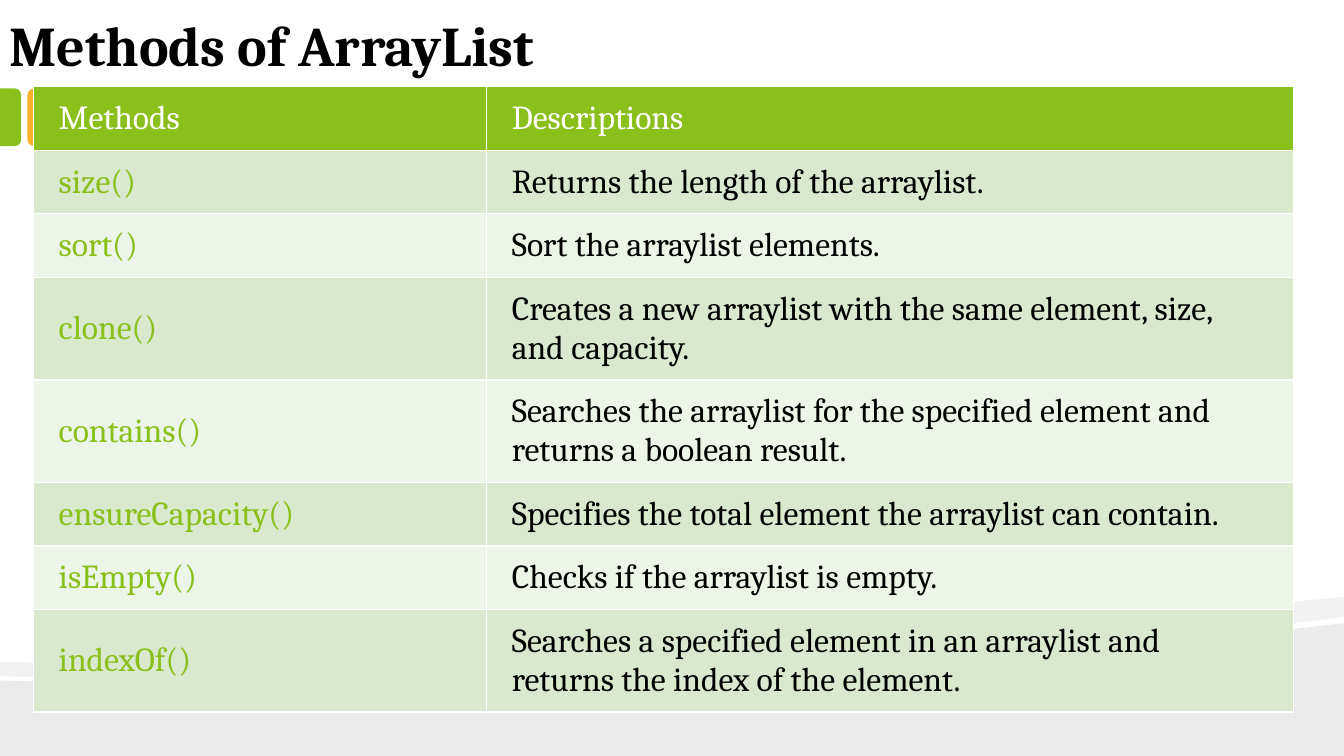
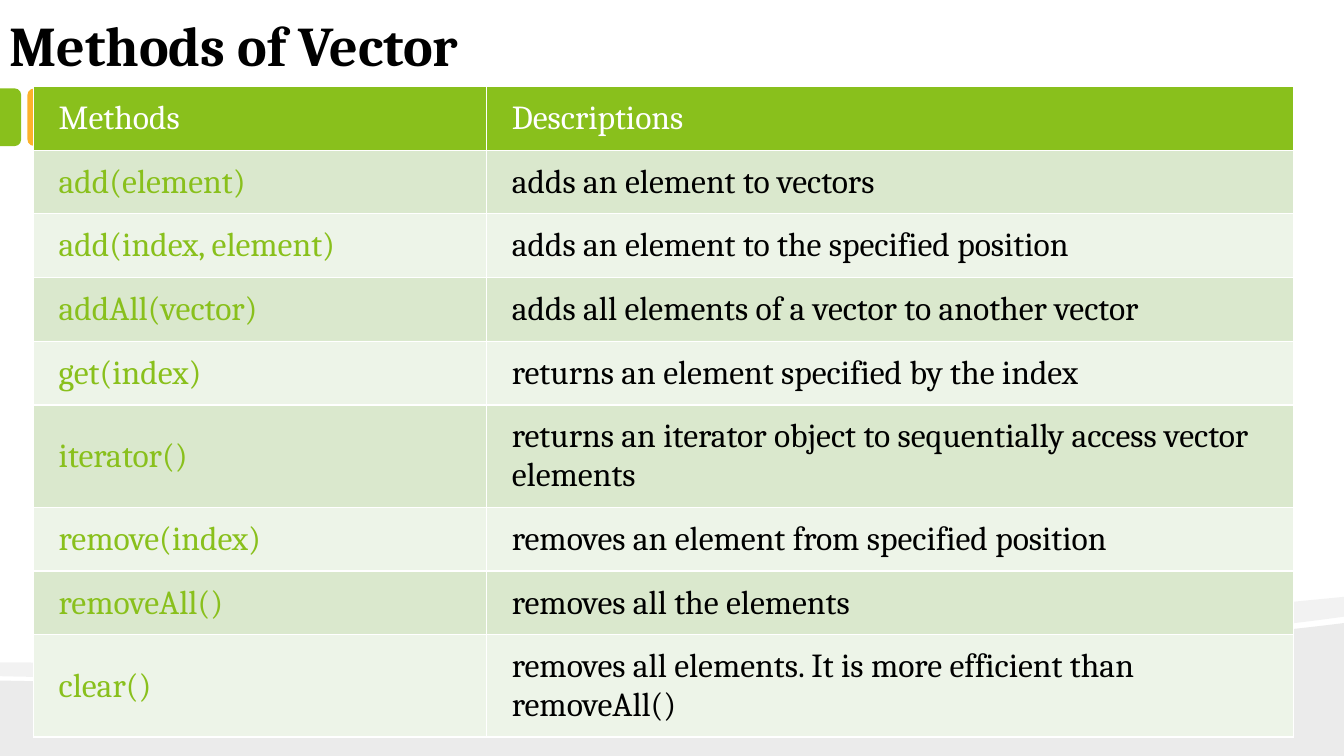
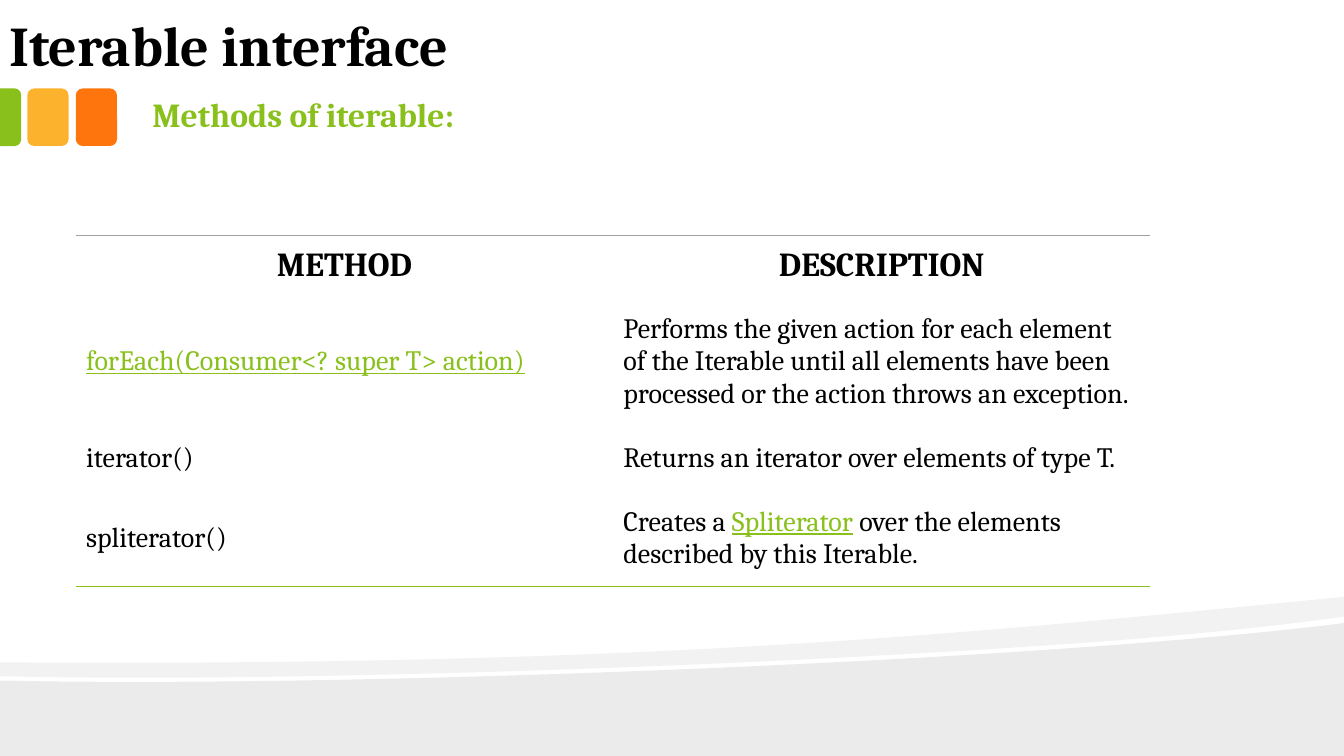
"""Build three slides on the methods of Java collection types."""
from lxml.etree import SubElement
from pptx import Presentation
from pptx.dml.color import RGBColor
from pptx.enum.shapes import MSO_SHAPE as Shape
from pptx.enum.text import MSO_ANCHOR as Anchor, MSO_AUTO_SIZE as AutoSize, PP_ALIGN as Align
from pptx.oxml.ns import qn
from pptx.util import Cm, Pt

GREEN, AMBER, ORANGE = "89C01C", "FCB22C", "FE750E"
BLACK, WHITE, GREY, OUTLINE = "000000", "FFFFFF", "A0A0A0", "92D050"
BANDS = "EDF4E8", "DAE8CD"
FONT = "Cambria"
PLAIN_TABLE = "{2D5ABB26-0587-4C30-8999-92F81FD0307C}"
rgb = RGBColor.from_string


def write(p, text, color, size, bold=False, underline=False):
    r = p.add_run()
    r.text = text
    fmt = {"name": FONT, "size": Pt(size), "bold": bold, "underline": underline}
    for key, value in fmt.items():
        setattr(r.font, key, value)
    r.font.color.rgb = rgb(color)


def add_line(parent, tag, color, width):
    ln = parent.makeelement(qn(tag), {"w": str(Pt(width))})
    SubElement(SubElement(ln, qn("a:solidFill")), qn("a:srgbClr"), val=color)
    parent.insert(0, ln)


prs = Presentation()
prs.slide_width, prs.slide_height = Cm(33.87), Cm(19.05)
layout = prs.slide_layouts[5]

TITLES = ["Methods of ArrayList", "Methods of Vector", "Iterable interface"]
slides = []
for title in TITLES:
    s = prs.slides.add_slide(layout)
    box = s.shapes.title
    box.left, box.top, box.width, box.height = Cm(-0.1), Cm(0), Cm(26.34), Cm(2.13)
    tf = box.text_frame
    fmt = {"margin_left": Cm(0.33), "margin_right": Cm(0.33), "margin_top": Cm(0.18),
           "margin_bottom": Cm(0.18), "vertical_anchor": Anchor.BOTTOM,
           "word_wrap": True, "auto_size": AutoSize.NONE}
    for key, value in fmt.items():
        setattr(tf, key, value)
    p = tf.paragraphs[0]
    p.alignment = Align.LEFT
    write(p, title, BLACK, 40, bold=True)
    slides.append(s)

# Each wave: start, opacity in percent, then lines (1 point) and curves (3 points)
WAVES = [
    ((33.87, 15.7), 8, [
        [(33.87, 19.05)], [(0, 19.05)], [(0, 17.15)],
        [(8.94, 17.35), (26.47, 16.64), (33.87, 15.7)]]),
    ((33.87, 15.04), 5, [
        [(33.87, 15.54)],
        [(31.88, 15.82), (29.18, 16.08), (26.14, 16.28)],
        [(17.73, 16.84), (6.55, 17.2), (0, 17.04)],
        [(0, 16.69)],
        [(16.56, 16.81), (24.66, 15.93), (33.87, 15.04)]]),
]
TABS = [
    (Shape.ROUNDED_RECTANGLE, 1.91, 2.23, 1.04, 1.45, 0, ORANGE),
    (Shape.ROUNDED_RECTANGLE, 0.69, 2.23, 1.04, 1.45, 0, AMBER),
    (Shape.ROUND_2_SAME_RECTANGLE, -0.46, 2.69, 1.45, 0.53, 90, GREEN),
]
shapes = slides[0].shapes
decor = []
for (x, y), opacity, segments in WAVES:
    builder = shapes.build_freeform(Cm(x), Cm(y))
    builder.add_line_segments([(Cm(x), Cm(y)) for seg in segments for x, y in seg], close=True)
    sp = builder.convert_to_shape()
    nodes = iter(list(sp.element.iter(qn("a:lnTo"))))
    for seg in segments:
        first, *rest = [next(nodes) for _ in seg]
        if rest:
            first.tag = qn("a:cubicBezTo")
            for node in rest:
                first.append(node[0])
                node.getparent().remove(node)
    decor.append((sp, BLACK, opacity))
for kind, x, y, w, h, angle, color in TABS:
    sp = shapes.add_shape(kind, Cm(x), Cm(y), Cm(w), Cm(h))
    sp.rotation = angle
    if angle:
        sp.adjustments[0] = 0.29
    decor.append((sp, color, 100))

for i, (sp, color, opacity) in enumerate(decor):
    sp.shadow.inherit = False
    sp.fill.solid()
    sp.fill.fore_color.rgb = rgb(color)
    sp.line.fill.background()
    if opacity < 100:
        fill = next(sp.element.iter(qn("a:srgbClr")))
        SubElement(fill, qn("a:alpha"), val=str(opacity * 1000))
    layout.shapes.element.insert(2 + i, sp.element)

ARRAYLIST = [
    ("size()", "Returns the length of the arraylist."),
    ("sort()", "Sort the arraylist elements."),
    ("clone()", "Creates a new arraylist with the same element, size, and capacity."),
    ("contains()", "Searches the arraylist for the specified element and returns a boolean result."),
    ("ensureCapacity()", "Specifies the total element the arraylist can contain."),
    ("isEmpty()", "Checks if the arraylist is empty."),
    ("indexOf()", "Searches a specified element in an arraylist and returns the index of the element."),
]
VECTOR = [
    ("add(element)", "adds an element to vectors"),
    ("add(index, element)", "adds an element to the specified position"),
    ("addAll(vector)", "adds all elements of a vector to another vector"),
    ("get(index)", "returns an element specified by the index"),
    ("iterator()", "returns an iterator object to sequentially access vector elements"),
    ("remove(index)", "removes an element from specified position"),
    ("removeAll()", "removes all the elements"),
    ("clear()", "removes all elements. It is more efficient than removeAll()"),
]
for s, methods in zip(slides, (ARRAYLIST, VECTOR)):
    rows = [("Methods", "Descriptions")] + methods
    gf = s.shapes.add_table(len(rows), 2, Cm(0.84), Cm(2.18), Cm(31.75), Cm(1.42 * len(rows)))
    table = gf.table
    table.columns[0].width, table.columns[1].width = Cm(11.42), Cm(20.33)
    for i, row in enumerate(rows):
        for j, text in enumerate(row):
            cell = table.cell(i, j)
            cell.margin_left = cell.margin_right = Cm(0.64)
            cell.margin_top, cell.margin_bottom = Cm(0.32), Cm(0.31)
            cell.vertical_anchor = Anchor.MIDDLE
            cell.fill.solid()
            cell.fill.fore_color.rgb = rgb(BANDS[i % 2] if i else GREEN)
            color = (GREEN, BLACK)[j] if i else WHITE
            write(cell.text_frame.paragraphs[0], text, color, 24)
    for rpr in list(gf.element.iter(qn("a:rPr")))[2::2]:
        add_line(rpr, "a:ln", OUTLINE, 0.75)

s = slides[2]
tf = s.shapes.add_textbox(Cm(3.59), Cm(2.24), Cm(28.45), Cm(1.27)).text_frame
tf.word_wrap = True
write(tf.paragraphs[0], "Methods of iterable:", GREEN, 24, bold=True)

LINKS = "forEach(Consumer<? super T> action)", "Spliterator"
ITERABLE = [
    (["METHOD"], ["DESCRIPTION"]),
    ([LINKS[0]], ["Performs the given action for each element of the Iterable until all "
                  "elements have been processed or the action throws an exception."]),
    (["iterator()"], ["Returns an iterator over elements of type T."]),
    (["spliterator()"], ["Creates a ", LINKS[1], " over the elements described by this Iterable."]),
]
gf = s.shapes.add_table(len(ITERABLE), 2, Cm(1.91), Cm(5.93), Cm(27.08), Cm(5.46))
next(gf.element.iter(qn("a:tableStyleId"))).text = PLAIN_TABLE
table = gf.table
table.first_row = table.horz_banding = False
for i, (row, height) in enumerate(zip(ITERABLE, (1.12, 1.8, 1.27, 1.27))):
    table.rows[i].height = Cm(height)
    for j, texts in enumerate(row):
        cell = table.cell(i, j)
        cell.margin_left = cell.margin_right = Cm(0.26)
        cell.margin_top, cell.margin_bottom = (Cm(0.38), Cm(0.36)) if i else (Cm(0.26), Cm(0.26))
        cell.vertical_anchor = Anchor.MIDDLE
        cell.fill.background()
        p = cell.text_frame.paragraphs[0]
        p.alignment = Align.LEFT if i else Align.CENTER
        for text in texts:
            link = text in LINKS
            write(p, text, GREEN if link else BLACK, 20 if i else 24, bold=i == 0, underline=link)
cells = list(gf.element.iter(qn("a:tcPr")))
for edge, tag, color in ((cells[:2], "a:lnT", GREY), (cells[-2:], "a:lnB", GREEN)):
    for tcpr in edge:
        add_line(tcpr, tag, color, 1)

prs.save("out.pptx")
